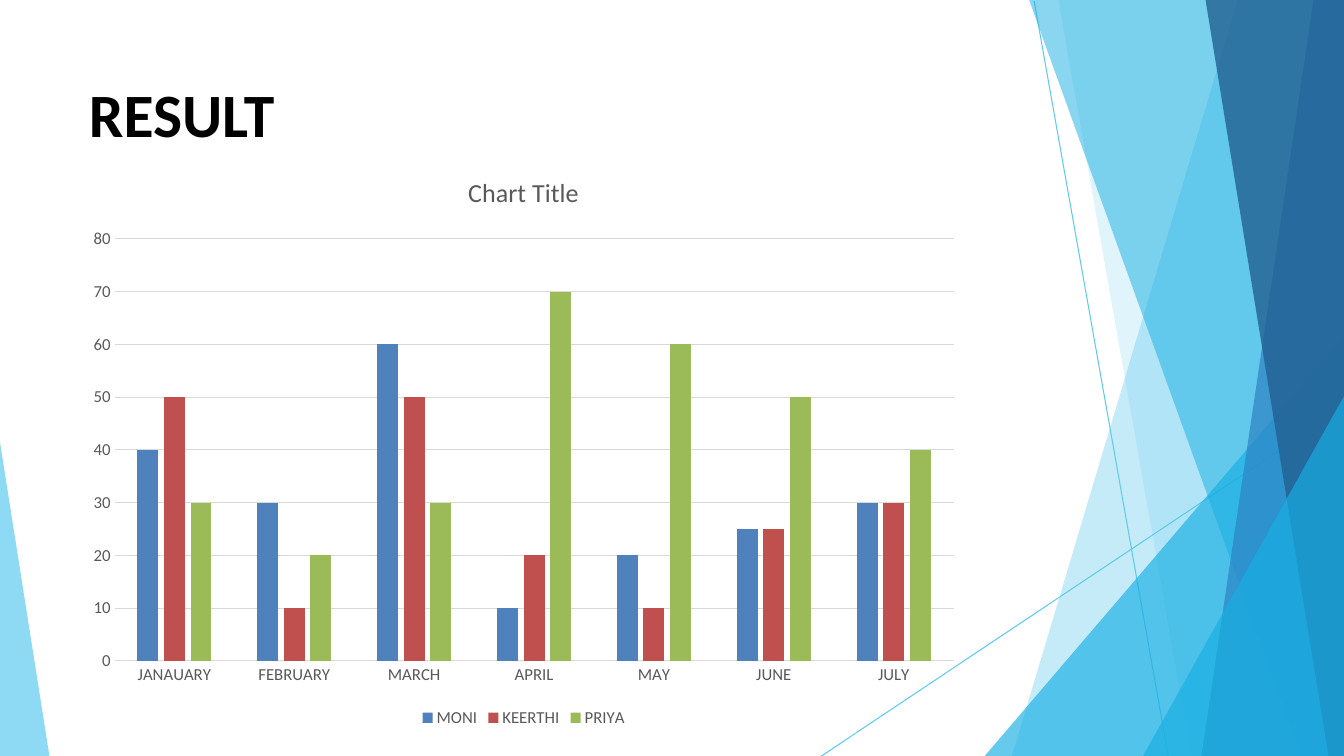
"""Build the RESULT slide: a clustered column chart beside translucent blue facets."""
import dataclasses

import lxml.etree
import pptx
import pptx.chart.data
import pptx.dml.color
import pptx.enum.chart
import pptx.enum.shapes
import pptx.enum.text
import pptx.oxml.ns
import pptx.util

Pt = pptx.util.Pt
RGB = pptx.dml.color.RGBColor.from_string
qn = pptx.oxml.ns.qn


@dataclasses.dataclass(frozen=True)
class Theme:
    font: str = "Calibri"
    heading: str = "000000"
    label: str = "595959"
    grid: str = "D9D9D9"
    sky: str = "5FCAEE"
    cyan: str = "17AFE3"
    blue: str = "2D83C3"
    navy: str = "226192"
    series: tuple = ("4F81BD", "C0504D", "9BBB59")
    heading_size: float = 44
    chart_title_size: float = 18.6
    label_size: float = 12
    hairline: float = 0.75


def style_font(font, size, color, bold=False):
    font.name = theme.font
    font.size = Pt(size)
    font.bold = bold
    font.color.rgb = RGB(color)


def style_line(line, color):
    line.color.rgb = RGB(color)
    line.width = Pt(theme.hairline)


theme = Theme()
width, height = 960, 540
deck = pptx.Presentation()
deck.slide_width, deck.slide_height = Pt(width), Pt(height)
slide = deck.slides.add_slide(deck.slide_layouts[5])

for ends in [(738.7, 0.7, 834.5, height), (width, 290.9, 586.8, height)]:
    ray = slide.shapes.add_connector(
        pptx.enum.shapes.MSO_CONNECTOR.STRAIGHT, *[Pt(value) for value in ends])
    style_line(ray.line, theme.sky)
    lxml.etree.SubElement(ray.element.spPr, qn("a:effectLst"))

top_right, bottom_right = (width, 0), (width, height)
facets = [
    ([top_right, (884.2, 0), (722.9, height), bottom_right], theme.sky, 36),
    ([top_right, (756, 0), (851, height), bottom_right], theme.sky, 20),
    ([(width, 240), (703.4, height), bottom_right], theme.cyan, 66),
    ([top_right, (735.1, 0), (929.5, height), bottom_right], theme.cyan, 50),
    ([top_right, (938.2, 0), (858.2, height), bottom_right], theme.blue, 70),
    ([top_right, (861.1, 0), (949, height), bottom_right], theme.navy, 80),
    ([(width, 283), (816.5, height), bottom_right], theme.cyan, 66),
    ([(0, 316), (0, height), (35.3, height)], theme.sky, 70),
]
for corners, color, opacity in facets:
    start, *rest = [(Pt(x), Pt(y)) for x, y in corners]
    outline = slide.shapes.build_freeform(*start)
    outline.add_line_segments(rest, close=True)
    facet = outline.convert_to_shape()
    facet.shadow.inherit = False
    facet.line.fill.background()
    facet.fill.solid()
    facet.fill.fore_color.rgb = RGB(color)
    tint = facet.element.spPr.find(qn("a:solidFill")).find(qn("a:srgbClr"))
    lxml.etree.SubElement(tint, qn("a:alpha"), val=str(opacity * 1000))

heading = slide.shapes.title
heading.left, heading.top, heading.width, heading.height = Pt(60), Pt(48.2), Pt(354), Pt(60.5)
heading.text = "RESULT"
heading_frame = heading.text_frame
heading_frame.word_wrap = True
heading_frame.auto_size = pptx.enum.text.MSO_AUTO_SIZE.SHAPE_TO_FIT_TEXT
heading_frame.vertical_anchor = pptx.enum.text.MSO_ANCHOR.TOP
heading_frame.margin_left, heading_frame.margin_top = Pt(3.5), Pt(6)
heading_frame.margin_right = heading_frame.margin_bottom = 0
heading_line = heading_frame.paragraphs[0]
heading_line.alignment = pptx.enum.text.PP_ALIGN.LEFT
style_font(heading_line.font, theme.heading_size, theme.heading, bold=True)

results = pptx.chart.data.CategoryChartData()
results.categories = ["JANAUARY", "FEBRUARY", "MARCH", "APRIL", "MAY", "JUNE", "JULY"]
results.add_series("MONI", [40, 30, 60, 10, 20, 25, 30])
results.add_series("KEERTHI", [50, 10, 50, 20, 10, 25, 30])
results.add_series("PRIYA", [30, 20, 30, 70, 60, 50, 40])
chart = slide.shapes.add_chart(
    pptx.enum.chart.XL_CHART_TYPE.COLUMN_CLUSTERED,
    Pt(54), Pt(108.7), Pt(640), Pt(414), results).chart
style_font(chart.font, theme.label_size, theme.label)

chart.has_title = True
chart.chart_title.include_in_layout = False
chart.chart_title.text_frame.text = "Chart Title"
style_font(chart.chart_title.text_frame.paragraphs[0].font, theme.chart_title_size, theme.label)

chart.has_legend = True
chart.legend.position = pptx.enum.chart.XL_LEGEND_POSITION.BOTTOM
chart.legend.include_in_layout = False
style_font(chart.legend.font, theme.label_size, theme.label)

columns = chart.plots[0]
columns.gap_width, columns.overlap = 219, -27
columns.vary_by_categories = False
for person, color in zip(columns.series, theme.series):
    person.format.fill.solid()
    person.format.fill.fore_color.rgb = RGB(color)

months, scores = chart.category_axis, chart.value_axis
for axis in (months, scores):
    axis.major_tick_mark = axis.minor_tick_mark = pptx.enum.chart.XL_TICK_MARK.NONE
    style_font(axis.tick_labels.font, theme.label_size, theme.label)
style_line(months.format.line, theme.grid)
scores.minimum_scale, scores.maximum_scale, scores.major_unit = 0, 80, 10
scores.format.line.fill.background()
style_line(scores.major_gridlines.format.line, theme.grid)

deck.save("out.pptx")
